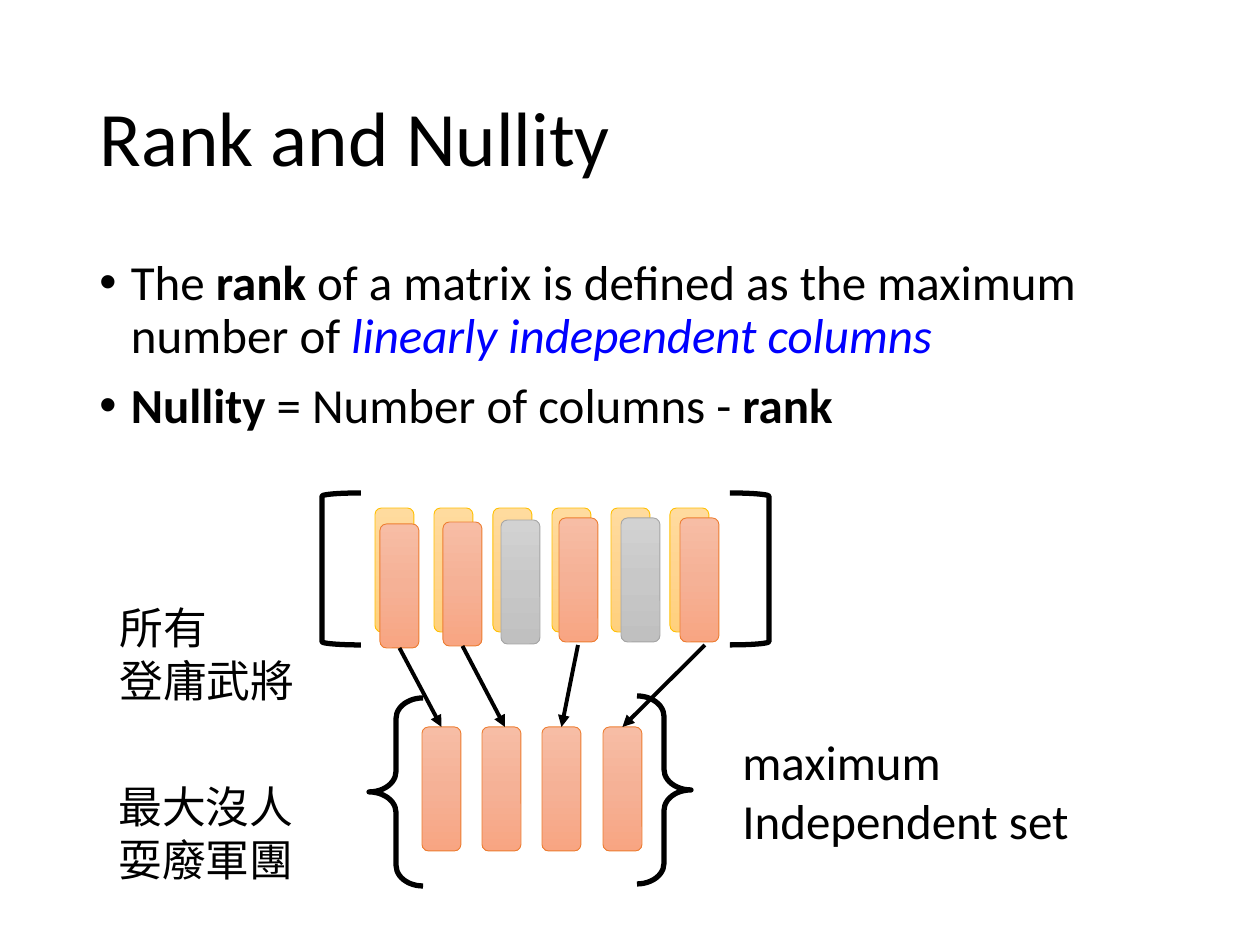
"""Build the slide on the rank and nullity of a matrix."""
from copy import deepcopy

from lxml.etree import SubElement
from pptx import Presentation
from pptx.dml.color import RGBColor
from pptx.enum.shapes import MSO_CONNECTOR, MSO_SHAPE
from pptx.enum.text import MSO_ANCHOR, PP_ALIGN
from pptx.oxml.ns import qn
from pptx.util import Emu, Pt

PX = 914400 / 126
COLORS = {"black": "000000", "blue": "0000FF",
          "orange": "ED7D31", "gold": "FFC000", "gray": "A5A5A5"}
GRADIENTS = {"orange": ("F7BDA5", "F5B196", "F8A582"),
             "gold": ("FFDB9E", "FFD590", "FFD07C"),
             "gray": ("D2D2D2", "C8C8C8", "C0C0C0")}
CARD_WIDTH, CARD_HEIGHT = 39, 124


def px(*lengths):
    return [Emu(round(length * PX)) for length in lengths]


def style(paragraph, size, font):
    paragraph.font.size = Pt(size)
    paragraph.font.color.rgb = RGBColor.from_string(COLORS["black"])
    paragraph.font.name = font
    SubElement(paragraph._p.pPr.find(qn("a:defRPr")), qn("a:ea"), typeface=font)


deck = Presentation()
deck.slide_width, deck.slide_height = px(1260, 945)
page = deck.slides.add_slide(deck.slide_layouts[5])

title = page.shapes.title
title.left, title.top, title.width, title.height = px(87, 50, 1086, 183)
title.text_frame.text = "Rank and Nullity"
title.text_frame.vertical_anchor = MSO_ANCHOR.MIDDLE
heading = title.text_frame.paragraphs[0]
heading.alignment = PP_ALIGN.LEFT
heading.line_spacing = 0.9
style(heading, 44, "Calibri")

bullets = [
    [("The ", ""), ("rank", "bold"),
     (" of a matrix is defined as the maximum number of ", ""),
     ("linearly independent columns", "accent")],
    [("Nullity", "bold"), (" = Number of columns - ", ""), ("rank", "bold")],
]
body = page.shapes.add_textbox(*px(87, 252, 1086, 200)).text_frame
body.word_wrap = True
for index, spans in enumerate(bullets):
    paragraph = body.add_paragraph() if index else body.paragraphs[0]
    paragraph.line_spacing = 0.9
    if index:
        paragraph.space_before = Pt(10)
    properties = paragraph._p.get_or_add_pPr()
    properties.set("marL", "228600")
    properties.set("indent", "-228600")
    SubElement(properties, qn("a:buFont"), typeface="Arial")
    SubElement(properties, qn("a:buChar"), char="•")
    style(paragraph, 28, "Calibri")
    for text, look in spans:
        span = paragraph.add_run()
        span.text = text
        if look == "bold":
            span.font.bold = True
        elif look == "accent":
            span.font.italic = True
            span.font.color.rgb = RGBColor.from_string(COLORS["blue"])

cards = [("orange", 422 + 181 * i // 3, 727) for i in range(4)]
cards += [("gold", 375 + 59 * i, 508) for i in range(6)]
cards += [("orange", 380, 524), ("orange", 443, 522),
          ("orange", 559, 518), ("orange", 680, 518),
          ("gray", 501, 520), ("gray", 621, 518)]
columns = []
for color, left, top in cards:
    card = page.shapes.add_shape(MSO_SHAPE.ROUNDED_RECTANGLE,
                                 *px(left, top, CARD_WIDTH, CARD_HEIGHT))
    card.shadow.inherit = False
    card.fill.gradient()
    card.fill.gradient_angle = 270
    stop_list = card._element.spPr.find(".//" + qn("a:gsLst"))
    stop_list.insert(1, deepcopy(stop_list[0]))
    for position, (stop, shade) in enumerate(zip(card.fill.gradient_stops, GRADIENTS[color])):
        stop.position = position / 2
        stop.color.rgb = RGBColor.from_string(shade)
    card.line.color.rgb = RGBColor.from_string(COLORS[color])
    card.line.width = Pt(0.5)
    columns.append(card)
chosen, matrix = columns[:4], columns[10:14]

enclosures = [
    (MSO_SHAPE.LEFT_BRACKET, 322, 493, 39, 152),
    (MSO_SHAPE.RIGHT_BRACKET, 730, 493, 39, 152),
    (MSO_SHAPE.LEFT_BRACE, 369, 698, 54, 188),
    (MSO_SHAPE.RIGHT_BRACE, 637, 696, 54, 188),
]
for kind, *place in enclosures:
    enclosure = page.shapes.add_shape(kind, *px(*place))
    enclosure.shadow.inherit = False
    enclosure.fill.background()
    enclosure.line.color.rgb = RGBColor.from_string(COLORS["black"])
    enclosure.line.width = Pt(3)
    if kind in (MSO_SHAPE.LEFT_BRACE, MSO_SHAPE.RIGHT_BRACE):
        enclosure.adjustments[0] = 0.38

arrows = [
    ((400, 648, 442, 727), matrix[0], chosen[0]),
    ((463, 648, 505, 727), matrix[1], None),
    ((578, 645, 563, 727), None, chosen[2]),
    ((705, 645, 623, 727), None, chosen[3]),
]
for ends, source, target in arrows:
    arrow = page.shapes.add_connector(MSO_CONNECTOR.STRAIGHT, *px(*ends))
    if source:
        arrow.begin_connect(source, 2)
    if target:
        arrow.end_connect(target, 0)
    arrow.line.color.rgb = RGBColor.from_string(COLORS["black"])
    arrow.line.width = Pt(2.25)
    SubElement(arrow.line._get_or_add_ln(), qn("a:tailEnd"), type="triangle")
    SubElement(arrow._element.spPr, qn("a:effectLst"))

labels = [
    (("maximum", "Independent set"), (730, 725, 365, 131), 28, "Calibri"),
    (("所有", "登庸武將"), (107, 595, 218, 118), 25, "Noto Sans CJK SC"),
    (("最大沒人", "耍廢軍團"), (106, 774, 210, 118), 25, "Noto Sans CJK SC"),
]
for lines, place, size, font in labels:
    box = page.shapes.add_textbox(*px(*place))
    box.text_frame.word_wrap = True
    box.text_frame.text = "\n".join(lines)
    for paragraph in box.text_frame.paragraphs:
        style(paragraph, size, font)

deck.save("out.pptx")
